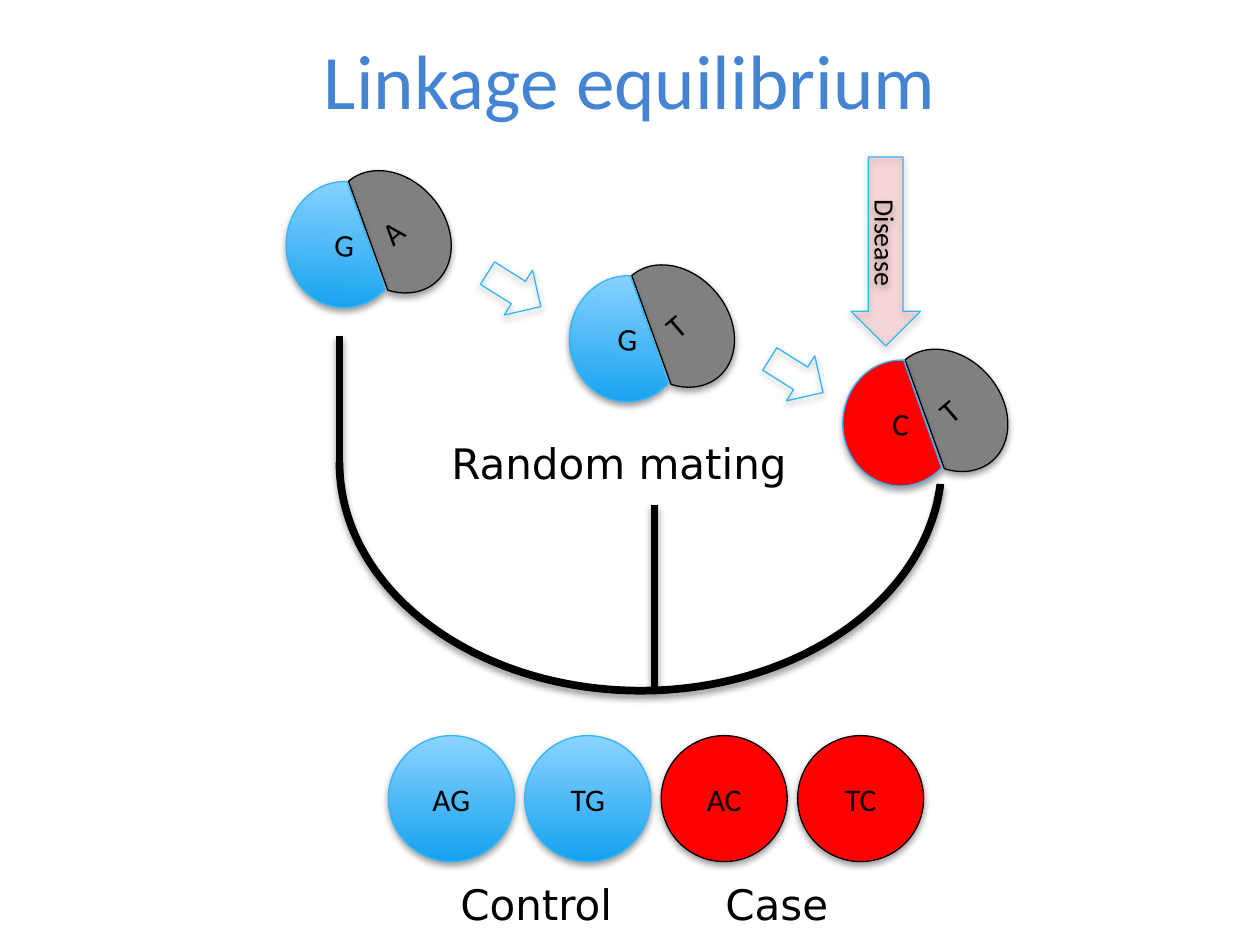
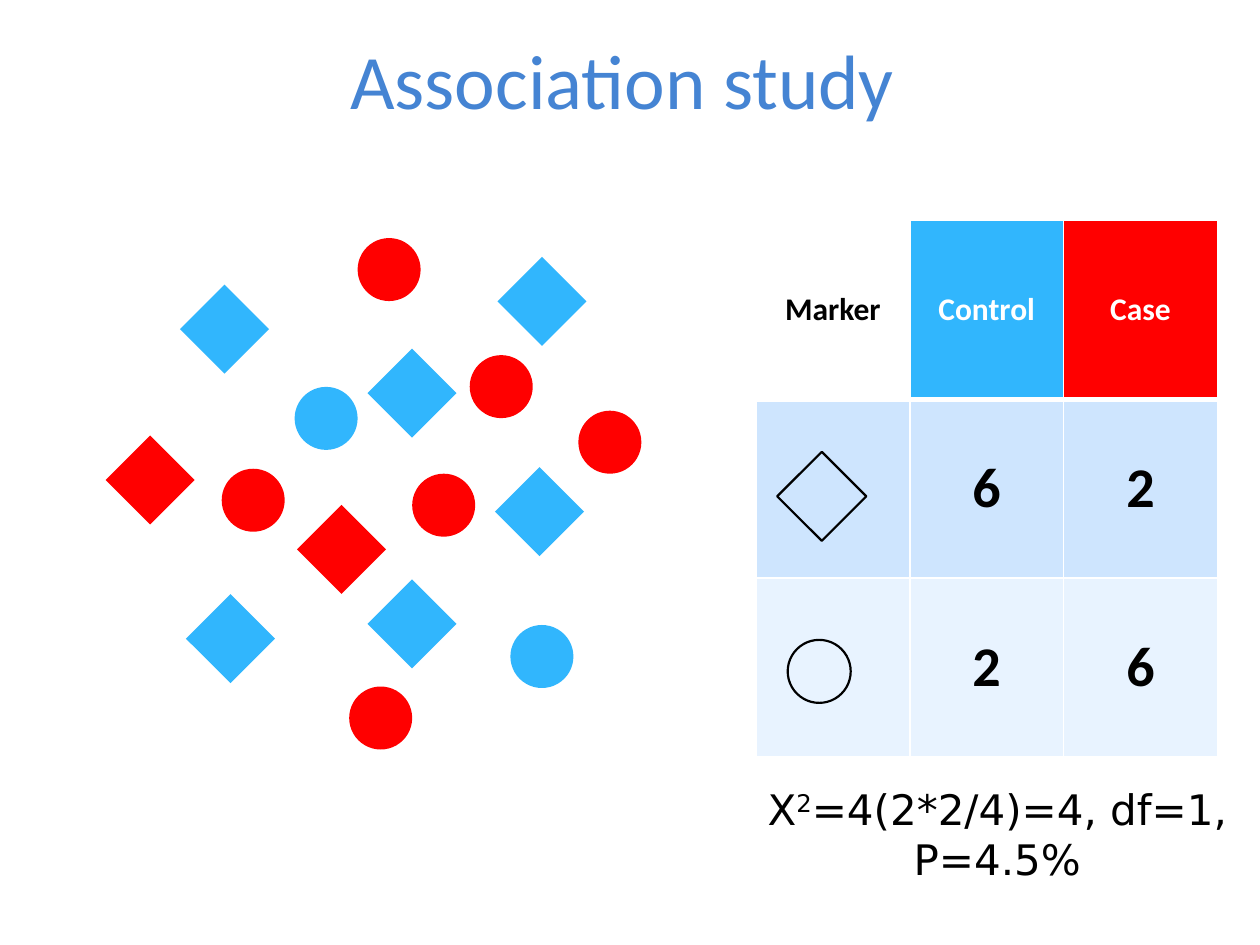
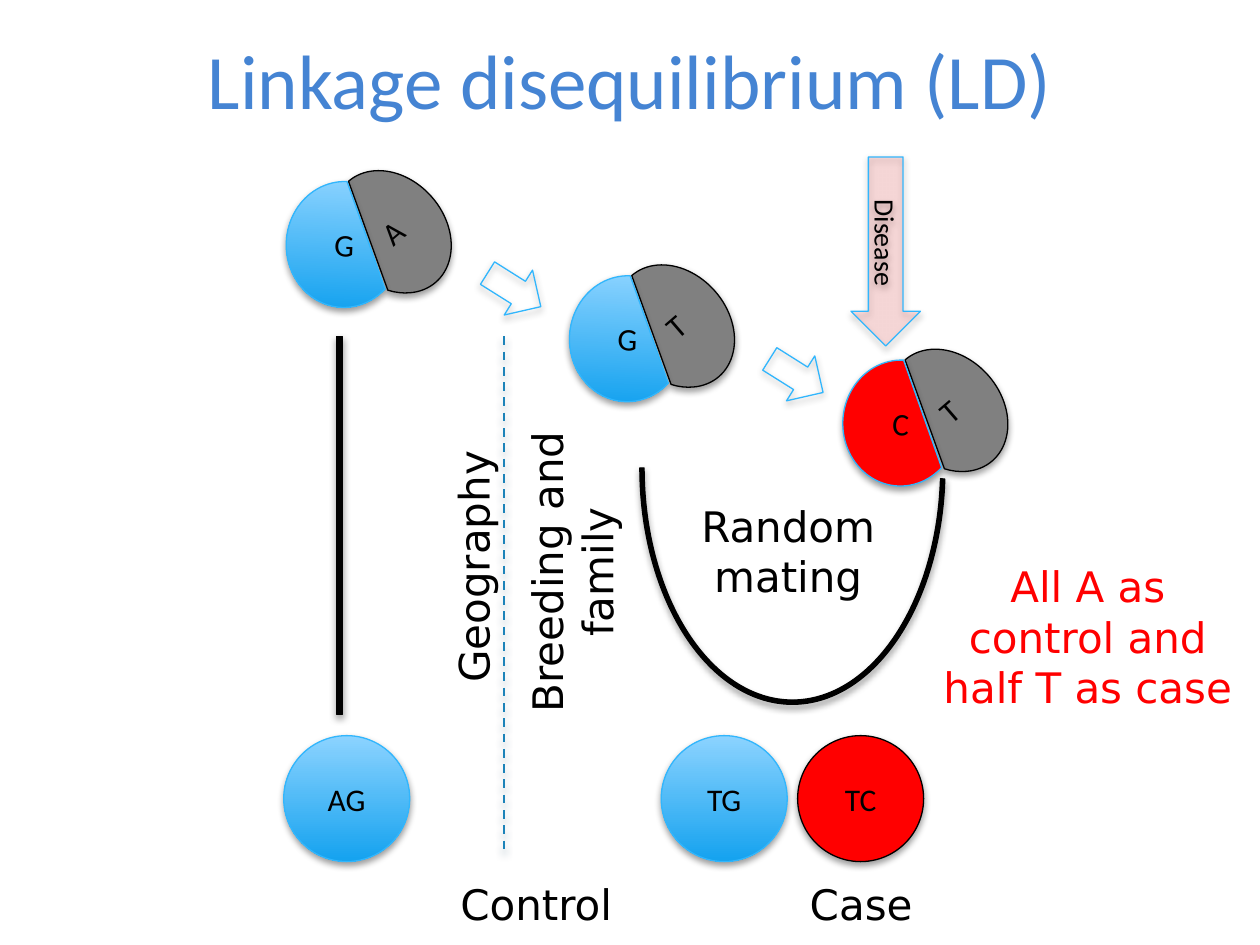
"""Build three slides on linkage equilibrium, association study and linkage disequilibrium."""
import dataclasses

import pptx
import pptx.dml.color
import pptx.enum.dml
import pptx.enum.shapes
import pptx.enum.text
import pptx.oxml
import pptx.oxml.ns
import pptx.util
from pptx.util import Cm, Pt

SHAPES = pptx.enum.shapes.MSO_SHAPE


@dataclasses.dataclass(frozen=True)
class Theme:
    heading_font: str = "Calibri"
    label_font: str = "DejaVu Sans"
    title_size: int = 44
    count_size: int = 32
    label_size: int = 24
    body_size: int = 18
    arrow_size: int = 16
    title: str = "4584D3"
    black: str = "000000"
    white: str = "FFFFFF"
    gray: str = "808080"
    control: str = "31B6FD"
    case: str = "FF0000"
    divider: str = "1C83B9"
    gloss: tuple = ("8CD3FF", "14A2EF")
    row_fills: tuple = ("CEE5FE", "E8F3FF")
    shape_shadow: tuple = ("000000", 38, 4, 2)
    divider_shadow: tuple = ("0F405B", 48, 4.5, 3)


THEME = Theme()

FOUNDERS = [
    ("A", "G", THEME.gloss, 5.77, 3.66),
    ("T", "G", THEME.gloss, 11.48, 5.56),
    ("T", "C", THEME.case, 16.99, 7.26),
]
MUTATION_ARROWS = [(9.73, 5.31), (15.42, 7.04)]
DISEASE_ARROW = (15.95, 4.37, 3.81, 1.4)

EQUILIBRIUM = {
    "title": "Linkage equilibrium",
    "arc": (6.78, 4.67, 12.27, 9.32),
    "posts": [(13.13, 10.19, 0.13, 3.68), (6.78, 6.78, 0.13, 2.54)],
    "offspring": [
        ("AG", "control", 7.83),
        ("TG", "control", 10.58),
        ("AC", "case", 13.33),
        ("TC", "case", 16.08),
    ],
    "labels": [
        ("Random mating", (7.82, 8.69, 9.32, 1.27), 0, THEME.black),
        ("Control", (7.42, 17.58, 6.78, 1.02), 0, THEME.black),
        ("Case", (12.27, 17.58, 6.78, 1.02), 0, THEME.black),
    ],
    "divider": None,
}
DISEQUILIBRIUM = {
    "title": "Linkage disequilibrium (LD)",
    "arc": (12.9, 4.67, 6.15, 9.53),
    "posts": [(6.78, 6.78, 0.13, 7.62)],
    "offspring": [
        ("AG", "control", 5.72),
        ("TG", "control", 13.33),
        ("TC", "case", 16.08),
    ],
    "labels": [
        ("Random mating", (12.5, 9.96, 6.78, 1.02), 0, THEME.black),
        ("Control", (7.42, 17.58, 6.78, 1.02), 0, THEME.black),
        ("Case", (13.97, 17.58, 6.78, 1.02), 0, THEME.black),
        ("Geography", (6.02, 10.92, 6.78, 1.02), 270, THEME.black),
        ("Breeding and family", (6.76, 11.02, 8.26, 1.02), 270, THEME.black),
        ("All A as control and half T as case", (18.54, 11.18, 6.78, 3.33), 0, THEME.case),
    ],
    "divider": (10.16, 6.78, 10.16, 17.15),
}

MARKERS = [
    ("circle", THEME.control, [(10.29, 12.6), (5.94, 7.8)]),
    ("circle", THEME.case, [(7.04, 13.84), (8.31, 9.55), (7.21, 4.8), (9.47, 7.16),
                            (4.47, 9.45), (11.66, 8.28)]),
    ("diamond", THEME.control, [(10.29, 5.44), (10.24, 9.68), (4.01, 12.24), (3.89, 6),
                                (7.67, 11.94), (7.67, 7.29)]),
    ("diamond", THEME.case, [(6.25, 10.44), (2.39, 9.04)]),
]
KEY_MARKERS = [("diamond", 15.93, 9.37), ("circle", 15.88, 12.9)]
COUNTS = [("Marker", "Control", "Case"), ("", "6", "2"), ("", "2", "6")]
HEADER_STYLES = [
    (THEME.white, THEME.black),
    (THEME.control, THEME.white),
    (THEME.case, THEME.white),
]
TABLE_BOX = (15.24, 4.45, 9.3, 10.8)
CHI_SQUARE = [("X", False), ("2", True), ("=4(2*2/4)=4, df=1, P=4.5%", False)]


def rgb(value):
    return pptx.dml.color.RGBColor.from_string(value)


def lengths(box):
    return [Cm(value) for value in box]


def format_text(text_frame, font, size, color, bold=False):
    for paragraph in text_frame.paragraphs:
        paragraph.alignment = pptx.enum.text.PP_ALIGN.CENTER
        for run in paragraph.runs:
            run.font.name = font
            run.font.size = Pt(size)
            run.font.bold = bold
            run.font.color.rgb = rgb(color)


def set_effects(shape, shadow):
    effects = pptx.oxml.parse_xml(f"<a:effectLst {pptx.oxml.ns.nsdecls('a')}/>")
    if shadow:
        color, opacity, blur, distance = shadow
        effects.append(pptx.oxml.parse_xml(
            f'<a:outerShdw {pptx.oxml.ns.nsdecls("a")} blurRad="{Pt(blur)}" '
            f'dist="{Pt(distance)}" dir="5400000" rotWithShape="0">'
            f'<a:srgbClr val="{color}"><a:alpha val="{opacity * 1000}"/></a:srgbClr>'
            "</a:outerShdw>"))
    shape.element.spPr.append(effects)


def set_fill(fill, color):
    if color is None:
        fill.background()
    elif isinstance(color, tuple):
        fill.gradient()
        fill.gradient_angle = 270
        for stop, stop_color in zip(fill.gradient_stops, color):
            stop.color.rgb = rgb(stop_color)
    else:
        fill.solid()
        fill.fore_color.rgb = rgb(color)


def draw_shape(slide, kind, box, fill=None, line=None, width=0.75, rotation=0, flip=None,
               text="", size=THEME.body_size, shadow=THEME.shape_shadow):
    shape = slide.shapes.add_shape(kind, *lengths(box))
    shape.rotation = rotation
    set_fill(shape.fill, fill)
    if line:
        shape.line.color.rgb = rgb(line)
        shape.line.width = Pt(width)
    else:
        shape.line.fill.background()
    if flip:
        shape.element.spPr.xfrm.set(flip, "1")
    set_effects(shape, shadow)
    if text:
        shape.text_frame.text = text
        format_text(shape.text_frame, THEME.heading_font, size, THEME.black)
    return shape


def add_text_box(slide, box, rotation=0):
    shape = slide.shapes.add_textbox(*lengths(box))
    shape.rotation = rotation
    shape.text_frame.word_wrap = True
    shape.text_frame.auto_size = pptx.enum.text.MSO_AUTO_SIZE.SHAPE_TO_FIT_TEXT
    return shape.text_frame


def add_slide(presentation, title, left=1.27):
    slide = presentation.slides.add_slide(presentation.slide_layouts[6])
    text_frame = add_text_box(slide, (left, 0, 22.86, 3.18))
    text_frame.auto_size = pptx.enum.text.MSO_AUTO_SIZE.NONE
    text_frame.vertical_anchor = pptx.enum.text.MSO_ANCHOR.MIDDLE
    text_frame.text = title
    format_text(text_frame, THEME.heading_font, THEME.title_size, THEME.title)
    return slide


def draw_founders(slide):
    for marker, allele, fill, left, top in FOUNDERS:
        draw_shape(slide, SHAPES.CHORD, (left + 1.07, top - 0.33, 2.13, 2.69), THEME.gray,
                   THEME.black, rotation=319.2, flip="flipH", text=marker)
        draw_shape(slide, SHAPES.CHORD, (left, top, 2.34, 2.54), fill, THEME.control,
                   rotation=2.5, text=allele)
    for left, top in MUTATION_ARROWS:
        draw_shape(slide, SHAPES.RIGHT_ARROW, (left, top, 1.27, 1.07), line=THEME.control,
                   rotation=32.2)


def draw_disease_arrow(slide):
    arrow = draw_shape(slide, SHAPES.RIGHT_ARROW, DISEASE_ARROW, THEME.case, THEME.control,
                       rotation=90, text="Disease", size=THEME.arrow_size)
    color = arrow.element.spPr.find(".//" + pptx.oxml.ns.qn("a:srgbClr"))
    color.append(pptx.oxml.parse_xml(
        f'<a:alpha {pptx.oxml.ns.nsdecls("a")} val="12000"/>'))


def draw_divider(slide, ends):
    divider = slide.shapes.add_connector(
        pptx.enum.shapes.MSO_CONNECTOR.STRAIGHT, *lengths(ends))
    divider.line.color.rgb = rgb(THEME.divider)
    divider.line.width = Pt(1.25)
    divider.line.dash_style = pptx.enum.dml.MSO_LINE.DASH
    set_effects(divider, THEME.divider_shadow)


def build_linkage_slide(presentation, content):
    slide = add_slide(presentation, content["title"])
    draw_founders(slide)
    arc = draw_shape(slide, SHAPES.BLOCK_ARC, content["arc"], THEME.black, THEME.black,
                     flip="flipV")
    for index, value in enumerate((108, 213.5, 0.014)):
        arc.adjustments[index] = value
    for post in content["posts"]:
        draw_shape(slide, SHAPES.RECTANGLE, post, THEME.black, THEME.black)
    offspring_styles = {
        "control": (THEME.gloss, THEME.control),
        "case": (THEME.case, THEME.black),
    }
    for genotype, group, left in content["offspring"]:
        draw_shape(slide, SHAPES.OVAL, (left, 14.83, 2.54, 2.54), *offspring_styles[group],
                   text=genotype)
    if content["divider"]:
        draw_divider(slide, content["divider"])
    for text, box, rotation, color in content["labels"]:
        text_frame = add_text_box(slide, box, rotation)
        text_frame.text = text
        format_text(text_frame, THEME.label_font, THEME.label_size, color)
    draw_disease_arrow(slide)


def draw_marker(slide, kind, left, top, fill=None, line=None):
    shape_kind, rotation = {
        "circle": (SHAPES.OVAL, 0),
        "diamond": (SHAPES.RECTANGLE, 135),
    }[kind]
    draw_shape(slide, shape_kind, (left, top, 1.27, 1.27), fill, line, 1.25, rotation,
               shadow=None)


def set_borders(cell, bottom_width):
    properties = cell._tc.get_or_add_tcPr()
    widths = {"lnL": 1, "lnR": 1, "lnT": 1, "lnB": bottom_width}
    for index, (side, width) in enumerate(widths.items()):
        properties.insert(index, pptx.oxml.parse_xml(
            f'<a:{side} {pptx.oxml.ns.nsdecls("a")} w="{Pt(width)}"><a:solidFill>'
            f'<a:srgbClr val="{THEME.white}"/></a:solidFill></a:{side}>'))


def draw_counts(slide):
    table = slide.shapes.add_table(len(COUNTS), len(COUNTS[0]), *lengths(TABLE_BOX)).table
    for row, values in enumerate(COUNTS):
        for column, value in enumerate(values):
            cell = table.cell(row, column)
            if row == 0:
                fill, color = HEADER_STYLES[column]
                size, bottom_width = THEME.body_size, 3
            else:
                fill, color = THEME.row_fills[row - 1], THEME.black
                size, bottom_width = THEME.count_size, 1
            set_fill(cell.fill, fill)
            set_borders(cell, bottom_width)
            cell.vertical_anchor = pptx.enum.text.MSO_ANCHOR.MIDDLE
            if value:
                cell.text_frame.text = value
                format_text(cell.text_frame, THEME.heading_font, size, color, bold=True)


def build_association_slide(presentation):
    slide = add_slide(presentation, "Association study", left=1.12)
    draw_counts(slide)
    for kind, fill, positions in MARKERS:
        for left, top in positions:
            draw_marker(slide, kind, left, top, fill)
    for kind, left, top in KEY_MARKERS:
        draw_marker(slide, kind, left, top, line=THEME.black)
    text_frame = add_text_box(slide, (14.81, 15.67, 10.59, 2.31))
    for text, raised in CHI_SQUARE:
        run = text_frame.paragraphs[0].add_run()
        run.text = text
        if raised:
            run._r.get_or_add_rPr().set("baseline", "30000")
    format_text(text_frame, THEME.label_font, THEME.label_size, THEME.black)


def main():
    presentation = pptx.Presentation()
    presentation.slide_width = Cm(25.4)
    presentation.slide_height = Cm(19.05)
    build_linkage_slide(presentation, EQUILIBRIUM)
    build_association_slide(presentation)
    build_linkage_slide(presentation, DISEQUILIBRIUM)
    presentation.save("out.pptx")


if __name__ == "__main__":
    main()
